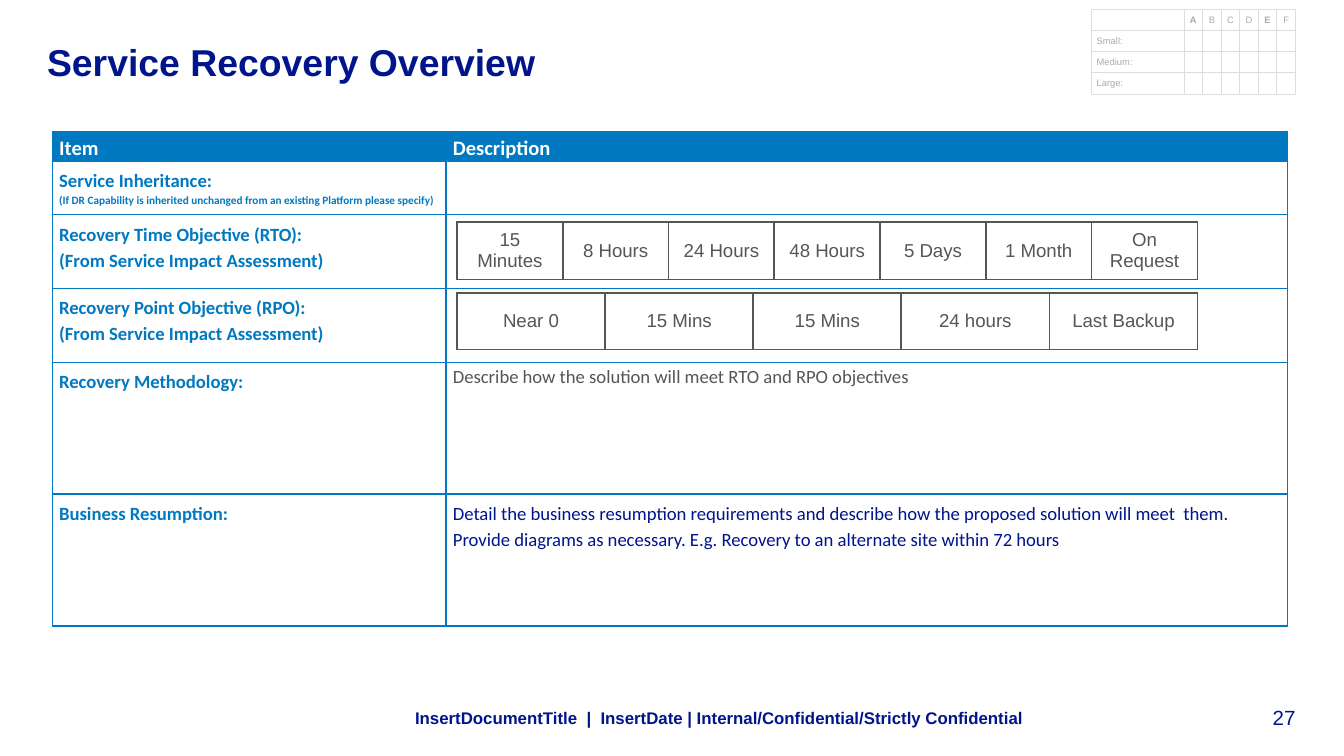
from lxml import etree
from pptx import Presentation
from pptx.dml.color import RGBColor
from pptx.enum.text import MSO_ANCHOR, PP_ALIGN
from pptx.oxml.ns import qn
from pptx.util import Inches, Pt

LEFT, CENTER, RIGHT = PP_ALIGN.LEFT, PP_ALIGN.CENTER, PP_ALIGN.RIGHT
TOP, MIDDLE, BOTTOM = MSO_ANCHOR.TOP, MSO_ANCHOR.MIDDLE, MSO_ANCHOR.BOTTOM

NAVY = RGBColor(0x00, 0x14, 0x8C)
BLUE = RGBColor(0x00, 0x79, 0xC1)
GRAY = RGBColor(0x55, 0x55, 0x5A)
SILVER = RGBColor(0xAA, 0xAA, 0xAC)
PALE = RGBColor(0xDD, 0xDD, 0xDE)
WHITE = RGBColor(0xFF, 0xFF, 0xFF)

# Content
TITLE = "Service Recovery Overview"
FOOTER = "InsertDocumentTitle  |  InsertDate | Internal/Confidential/Strictly Confidential"
PAGE = "27"
GRADES = ["A", "B", "C", "D", "E", "F"]
BOLD_GRADES = {"A", "E"}
SIZES = ["Small:", "Medium:", "Large:"]
HEADERS = ["Item", "Description"]
INHERIT_NOTE = "(If DR Capability is inherited unchanged from an existing Platform please specify)"
FROM_SIA = "(From Service Impact Assessment)"
# Row height, item lines, description, description colour, description top margin
ITEMS = [
    (0.4, ["Service Inheritance:"], "", GRAY, 0.04),
    (0.55, ["Recovery Time Objective (RTO):", FROM_SIA], "", GRAY, 0.04),
    (0.55, ["Recovery Point Objective (RPO):", FROM_SIA], "", GRAY, 0.04),
    (0.98, ["Recovery Methodology:"],
     "Describe how the solution will meet RTO and RPO objectives", GRAY, 0),
    (0.98, ["Business Resumption:"],
     "Detail the business resumption requirements and describe how the proposed "
     "solution will meet  them. Provide diagrams as necessary. E.g. Recovery to an "
     "alternate site within 72 hours", NAVY, 0.04),
]
# Top, height, choices
SCALES = [
    (1.65, 0.43, ["15 Minutes", "8 Hours", "24 Hours", "48 Hours", "5 Days",
                  "1 Month", "On Request"]),
    (2.18, 0.42, ["Near 0", "15 Mins", "15 Mins", "24 hours", "Last Backup"]),
]


def add_run(p, text, size, color, bold=False, font="Arial"):
    r = p.add_run()
    r.text = text
    r.font.name, r.font.size, r.font.bold = font, Pt(size), bold
    r.font.color.rgb = color


def set_margins(box, x, y):
    box.margin_left = box.margin_right = Inches(x)
    box.margin_top = box.margin_bottom = Inches(y)


def add_text(slide, at, text, size, align, anchor, bold=False, inset=(0, 0)):
    tf = slide.shapes.add_textbox(*map(Inches, at)).text_frame
    tf.word_wrap = True
    tf.vertical_anchor = anchor
    set_margins(tf, *inset)
    p = tf.paragraphs[0]
    p.alignment = align
    add_run(p, text, size, NAVY, bold)


def add_grid(slide, x, y, widths, heights, color, line, inset, anchor, size):
    """Add an unfilled table with the same border round every cell."""
    table = slide.shapes.add_table(
        len(heights), len(widths), Inches(x), Inches(y),
        Inches(sum(widths)), Inches(sum(heights))).table
    table.first_row = table.horz_banding = False
    for col, width in zip(table.columns, widths):
        col.width = Inches(width)
    for row, height in zip(table.rows, heights):
        row.height = Inches(height)
    for cell in table.iter_cells():
        set_margins(cell, *inset)
        cell.vertical_anchor = anchor
        tc_pr = cell._tc.get_or_add_tcPr()
        for side in ("a:lnL", "a:lnR", "a:lnT", "a:lnB"):
            ln = etree.SubElement(tc_pr, qn(side), w=str(Pt(line)))
            fill = etree.SubElement(ln, qn("a:solidFill"))
            etree.SubElement(fill, qn("a:srgbClr"), val=str(color))
        cell.fill.background()
        # Text size of cells that stay empty
        p = cell.text_frame.paragraphs[0]
        etree.SubElement(p._p, qn("a:endParaRPr"), sz=str(size * 100))
    return table


def fill_cell(cell, lines, size, color, bold=False, font="Arial", align=LEFT, spacing=None):
    tf = cell.text_frame
    for i, line in enumerate(lines):
        p = tf.add_paragraph() if i else tf.paragraphs[0]
        p.alignment = align
        if spacing:
            p.line_spacing = spacing
        add_run(p, line, size, color, bold, font)
    return tf.paragraphs[0]


prs = Presentation()
prs.slide_width, prs.slide_height = Inches(10), Inches(10 * 9 / 16)
s = prs.slides.add_slide(prs.slide_layouts[5])

# Title
title = s.shapes.title
title.left, title.top, title.width, title.height = map(Inches, (0.35, 0.29, 7.08, 0.47))
tf = title.text_frame
set_margins(tf, 0, 0)
tf.vertical_anchor = TOP
tf.paragraphs[0].alignment = LEFT
add_run(tf.paragraphs[0], TITLE, 20, NAVY, True)

# Size and grade matrix
grade_w = (1.52 - 0.69) / len(GRADES)
matrix_rows = len(SIZES) + 1
matrix = add_grid(s, 8.12, 0.07, [0.69] + [grade_w] * len(GRADES),
                  [0.63 / matrix_rows] * matrix_rows, PALE, 0.5, (0.04, 0), MIDDLE, 5)
for c, grade in enumerate(GRADES, 1):
    fill_cell(matrix.cell(0, c), [grade], 5, SILVER, grade in BOLD_GRADES, align=CENTER)
for r, name in enumerate(SIZES, 1):
    fill_cell(matrix.cell(r, 0), [name], 5, SILVER)

# Recovery table
body = {"font": "Calibri", "spacing": 1.15}
recovery = add_grid(s, 0.39, 0.98, [2.93, 6.26], [0.2] + [item[0] for item in ITEMS],
                    BLUE, 1, (0.05, 0.04), TOP, 10)
for c, header in enumerate(HEADERS):
    cell = recovery.cell(0, c)
    set_margins(cell, 0.05, 0)
    cell.fill.solid()
    cell.fill.fore_color.rgb = BLUE
    fill_cell(cell, [header], 11, WHITE, True, **body)
for r, (_, lines, text, color, top) in enumerate(ITEMS, 1):
    p = fill_cell(recovery.cell(r, 0), lines, 10, BLUE, True, **body)
    if r == 1:
        p.add_line_break()
        add_run(p, INHERIT_NOTE, 6, BLUE, True, "Calibri")
    if text:
        cell = recovery.cell(r, 1)
        set_margins(cell, 0.05, top)
        fill_cell(cell, [text], 10, color, **body)

# Footer and page number
add_text(s, (2.99, 5.21, 6.33, 0.26), FOOTER, 9, LEFT, MIDDLE, True, (0.1, 0.05))
add_text(s, (9.06, 5.24, 0.58, 0.19), PAGE, 11, RIGHT, BOTTOM)

# Objective scales over the recovery table
for y, height, choices in SCALES:
    scale = add_grid(s, 3.4, y, [5.51 / len(choices)] * len(choices), [height],
                     GRAY, 1, (0.1, 0.04), MIDDLE, 10)
    for c, choice in enumerate(choices):
        fill_cell(scale.cell(0, c), [choice], 10, GRAY, align=CENTER)

prs.save("out.pptx")
